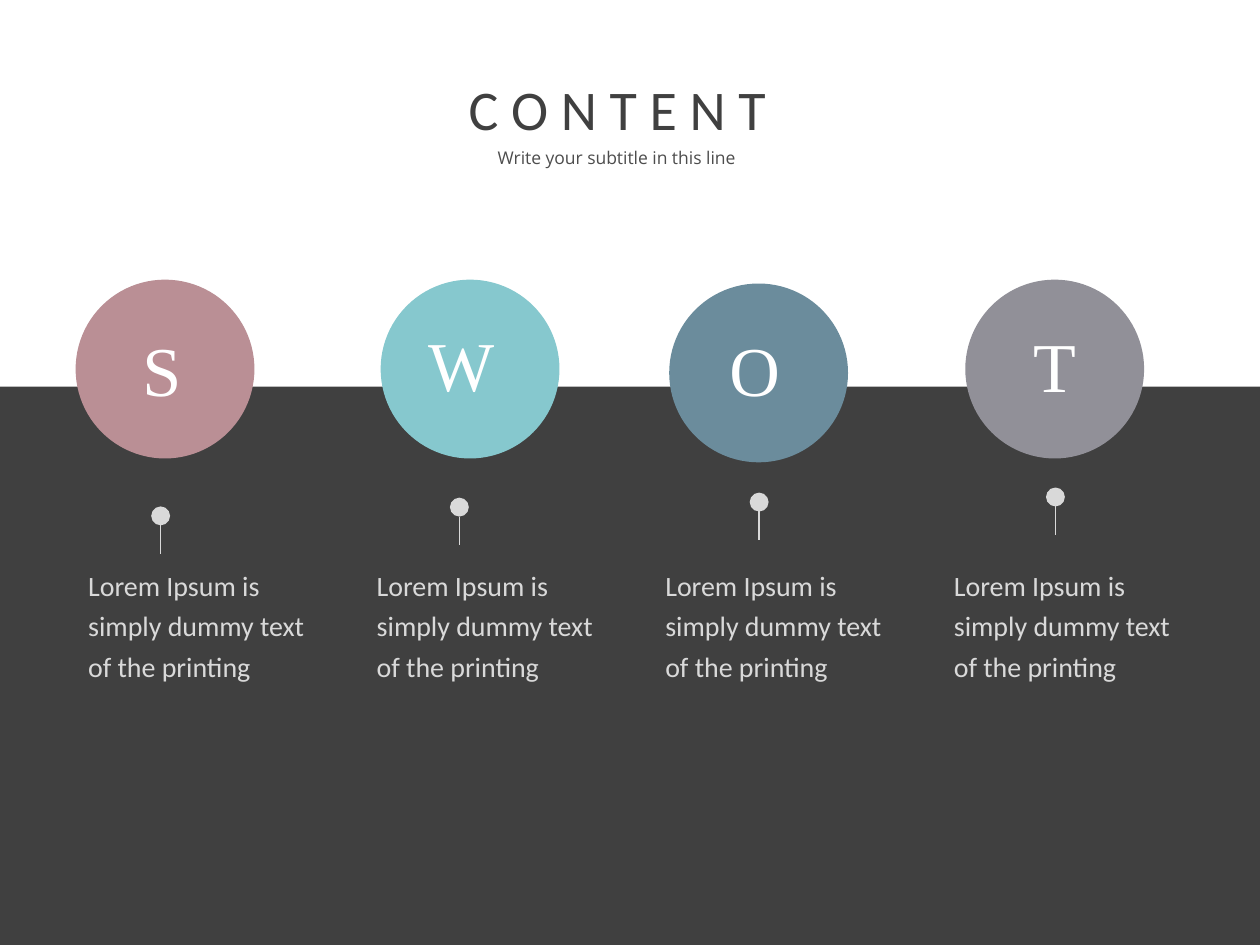
import pptx
import pptx.util
import pptx.dml.color
import pptx.enum.shapes
import pptx.enum.text
import pptx.oxml.ns
import lxml.etree
from collections import namedtuple
from dataclasses import dataclass

Pt = pptx.util.Pt
Box = namedtuple("Box", "left top width height")
Column = namedtuple("Column", "letter colour circle letter_at pin_at")


@dataclass(frozen=True)
class Theme:
    """Colours, fonts and type sizes of the slide."""
    dark: str = "404040"
    white: str = "FFFFFF"
    subtitle: str = "4D4D4D"
    pale: str = "D9D9D9"
    sans: str = "Calibri"
    serif: str = "Times New Roman"
    subtitle_font: str = "Open Sans"
    letter_size: float = 40
    title_size: float = 32
    body_size: float = 16
    subtitle_size: float = 10


THEME = Theme()
BODY = "Lorem Ipsum\u00a0is simply dummy text of the printing"
COLUMNS = [
    Column("S", "BA8F95", (-7.2, 0), (23.8, 23), (36, 129.6)),
    Column("W", "86C8CE", (2.2, 0), (22.3, 20.2), (41.8, 124.6)),
    Column("O", "6B8C9C", (2.2, 2.2), (29.5, 23), (48.2, 121.7)),
    Column("T", "919098", (6.5, 0), (38.2, 20.9), (52.6, 118.8)),
]


def colour(code):
    """Turn a hex code into a colour."""
    return pptx.dml.color.RGBColor.from_string(code)


def lengths(box):
    """Give the four measures of a box in points."""
    return [Pt(value) for value in box]


def place(shape, box):
    """Move and size a shape to a box."""
    shape.left, shape.top, shape.width, shape.height = lengths(box)


def write(shape, text, *, font, size, ink, margins=(0, 0), wrap=True, spacing=1.0):
    """Put left-aligned, top-anchored text into a shape."""
    frame = shape.text_frame
    frame.word_wrap = wrap
    frame.auto_size = pptx.enum.text.MSO_AUTO_SIZE.NONE
    frame.vertical_anchor = pptx.enum.text.MSO_ANCHOR.TOP
    frame.margin_left = frame.margin_right = Pt(margins[0])
    frame.margin_top = frame.margin_bottom = Pt(margins[1])
    para = frame.paragraphs[0]
    para.alignment = pptx.enum.text.PP_ALIGN.LEFT
    para.space_before = Pt(0)
    para.line_spacing = spacing
    span = para.add_run()
    span.text = text
    span.font.name = font
    span.font.size = Pt(size)
    span.font.color.rgb = colour(ink)


def add_solid(shapes, kind, box, fill):
    """Add a filled shape without outline or shadow."""
    shape = shapes.add_shape(kind, *lengths(box))
    shape.shadow.inherit = False
    shape.fill.solid()
    shape.fill.fore_color.rgb = colour(fill)
    shape.line.fill.background()
    return shape


def add_pin(page, box):
    """Group a dot with the short stem below it."""
    shapes = page.shapes.add_group_shape().shapes
    dot = Box(box.left, box.top, box.width, box.width)
    add_solid(shapes, pptx.enum.shapes.MSO_SHAPE.OVAL, dot, THEME.pale)
    middle = box.left + box.width / 2
    stem = shapes.add_connector(
        pptx.enum.shapes.MSO_CONNECTOR.STRAIGHT,
        Pt(middle), Pt(box.top + box.width), Pt(middle), Pt(box.top + box.height))
    stem.line.color.rgb = colour(THEME.pale)
    stem.line.width = Pt(0.75)
    lxml.etree.SubElement(stem.element.spPr, pptx.oxml.ns.qn("a:effectLst"))


def add_column(page, box, column):
    """Build one circle with its letter, pin and text."""
    def inside(offset, width, height):
        return Box(box.left + offset[0], box.top + offset[1], width, height)

    add_solid(page.shapes, pptx.enum.shapes.MSO_SHAPE.OVAL,
              inside(column.circle, 102.2, 102.2), column.colour)
    letter = page.shapes.add_textbox(*lengths(inside(column.letter_at, 51.1, 55.4)))
    write(letter, column.letter, font=THEME.serif, size=THEME.letter_size,
          ink=THEME.white, margins=(7.2, 3.6))
    add_pin(page, inside(column.pin_at, 10.8, 27))
    body = page.shapes.add_textbox(*lengths(inside((0, 161.3), box.width, 100)))
    write(body, BODY, font=THEME.sans, size=THEME.body_size, ink=THEME.pale, spacing=1.2)


def add_heading(page, box):
    """Draw the white band with title and subtitle."""
    band = add_solid(page.shapes, pptx.enum.shapes.MSO_SHAPE.RECTANGLE, box, THEME.white)
    band.element.getparent().insert(2, band.element)
    title, subtitle = page.shapes.title, page.placeholders[1]
    place(title, Box(box.left + 260.6, box.top + 38.9, 186.5, 46.1))
    write(title, "C O N T E N T", font=THEME.sans, size=THEME.title_size,
          ink=THEME.dark, margins=(7.2, 3.6), wrap=False)
    place(subtitle, Box(box.left + 284.4, box.top + 84.2, 150.5, 16.6))
    write(subtitle, "Write your subtitle in this line", font=THEME.subtitle_font,
          size=THEME.subtitle_size, ink=THEME.subtitle)


def build():
    """Build and save the deck."""
    deck = pptx.Presentation()
    deck.slide_width, deck.slide_height = Pt(720), Pt(540)
    page = deck.slides.add_slide(deck.slide_layouts[0])
    page.background.fill.solid()
    page.background.fill.fore_color.rgb = colour(THEME.dark)
    add_heading(page, Box(0, 0, 720, 221))
    for index, column in enumerate(COLUMNS):
        add_column(page, Box(50.4 + 164.9 * index, 159.8, 139.7, 261.3), column)
    deck.save("out.pptx")


build()
